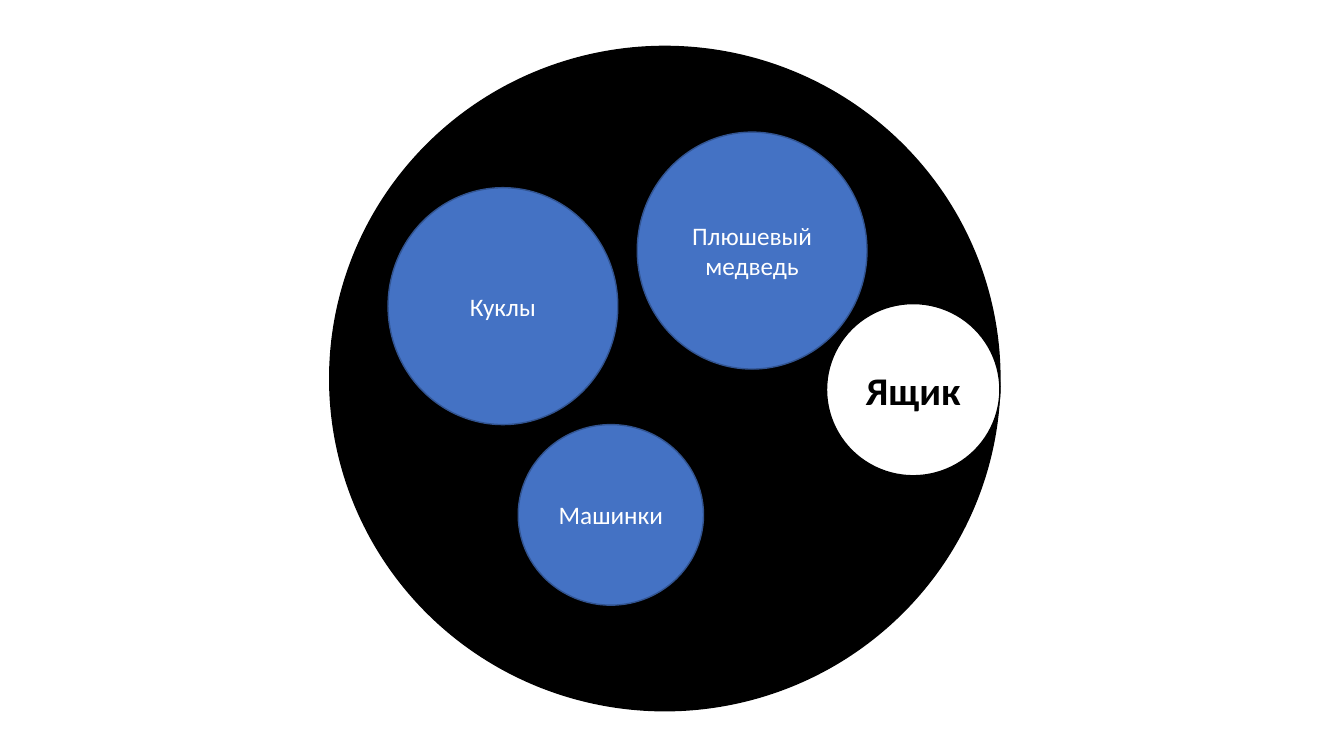
from dataclasses import dataclass

from pptx import Presentation
from pptx.dml.color import RGBColor
from pptx.enum.shapes import MSO_SHAPE
from pptx.enum.text import MSO_ANCHOR, PP_ALIGN
from pptx.util import Cm, Pt

OVAL = MSO_SHAPE.OVAL
MIDDLE = MSO_ANCHOR.MIDDLE
CENTER = PP_ALIGN.CENTER


@dataclass(frozen=True)
class Theme:
    font: str = "Calibri"
    black: str = "000000"
    white: str = "FFFFFF"
    blue: str = "4472C4"
    edge: str = "325491"
    title: int = 28
    body: int = 18
    line: int = 1


THEME = Theme()
TOYS = [
    ("Куклы", 1.47, 3.56, 5.79, 5.97),
    ("Машинки", 4.75, 9.53, 4.67, 4.55),
    ("Плюшевый медведь", 7.75, 2.16, 5.79, 5.97),
]


def write(shape, text, size=THEME.body, color=THEME.white, bold=False):
    frame = shape.text_frame
    frame.word_wrap = True
    frame.vertical_anchor = MIDDLE
    para = frame.paragraphs[0]
    para.alignment = CENTER
    run = para.add_run()
    run.text = text
    run.font.name = THEME.font
    run.font.size = Pt(size)
    run.font.bold = bold
    run.font.color.rgb = RGBColor.from_string(color)


def circle(slide, box, fill, edge):
    shape = slide.shapes.add_shape(OVAL, *map(Cm, box))
    shape.shadow.inherit = False
    shape.fill.solid()
    shape.fill.fore_color.rgb = RGBColor.from_string(fill)
    shape.line.color.rgb = RGBColor.from_string(edge)
    shape.line.width = Pt(THEME.line)
    return shape


def toy_box(slide, box):
    left, top, width, height = box
    circle(slide, box, THEME.black, THEME.black)
    wide, high = 4.37, 4.34
    place = (left + width - wide, top + 6.48, wide, high)
    label = circle(slide, place, THEME.white, THEME.black)
    write(label, "Ящик", size=THEME.title, color=THEME.black, bold=True)
    for name, x, y, wide, high in TOYS:
        toy = circle(slide, (left + x, top + y, wide, high), THEME.blue, THEME.edge)
        write(toy, name)


def main():
    deck = Presentation()
    deck.slide_width = Cm(33.87)
    deck.slide_height = Cm(19.05)
    slide = deck.slides.add_slide(deck.slide_layouts[6])
    toy_box(slide, (8.31, 1.17, 16.89, 16.74))
    deck.save("out.pptx")


if __name__ == "__main__":
    main()
